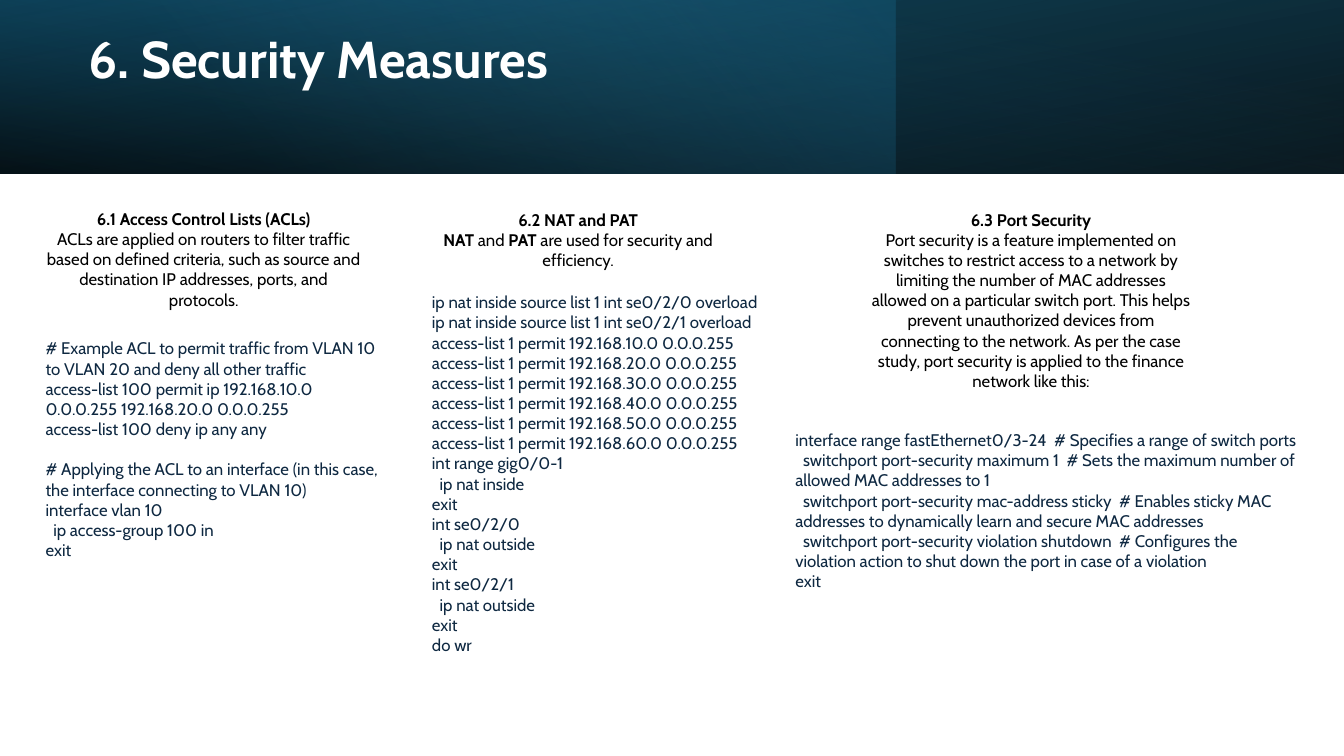
"""Build the Security Measures slide with its gradient header and three columns."""
from lxml import etree
from pptx import Presentation
from pptx import util as u
from pptx.dml.color import RGBColor
from pptx.enum import shapes, text
from pptx.oxml.ns import qn

COLORS = {"white": "FFFFFF", "black": "000000", "navy": "0E2841",
          "teal": "156082", "deep": "104862", "sky": "46B1E1"}
FONT = "Cabin"
LINE = 14.4
CODE_INDENT = 5.5
BAND_HEIGHT = 124

ACL_INTRO = [
    "**6.1 Access Control Lists (ACLs)**",
    "ACLs are applied on routers to filter traffic based on defined criteria, such as source "
    "and destination IP addresses, ports, and protocols.",
]
NAT_INTRO = [
    "**6.2 NAT and PAT**",
    "**NAT** and **PAT** are used for security and efficiency.",
]
PORT_INTRO = [
    "**6.3 Port Security**",
    "Port security is a feature implemented on switches to restrict access to a network by "
    "limiting the number of MAC addresses allowed on a particular switch port. This helps "
    "prevent unauthorized devices from connecting to the network. As per the case study, "
    "port security is applied to the finance network like this:",
]
ACL_RULES = [
    "# Example ACL to permit traffic from VLAN 10 to VLAN 20 and deny all other traffic",
    "access-list 100 permit ip 192.168.10.0 0.0.0.255 192.168.20.0 0.0.0.255",
    "access-list 100 deny ip any any",
]
ACL_APPLY = [
    "# Applying the ACL to an interface (in this case, the interface connecting to VLAN 10)",
    "interface vlan 10",
    "\tip access-group 100 in",
    "exit",
]
NAT_CODE = [
    *[f"ip nat inside source list 1 int se0/2/{port} overload" for port in range(2)],
    *[f"access-list 1 permit 192.168.{vlan}.0 0.0.0.255" for vlan in range(10, 70, 10)],
    "int range gig0/0-1", "\tip nat inside", "exit",
    *[line for port in range(2) for line in (f"int se0/2/{port}", "\tip nat outside", "exit")],
    "do wr",
]
PORT_CODE = [
    "interface range fastEthernet0/3-24  # Specifies a range of switch ports",
    "\tswitchport port-security maximum 1  # Sets the maximum number of allowed MAC "
    "addresses to 1",
    "\tswitchport port-security mac-address sticky  # Enables sticky MAC addresses to "
    "dynamically learn and secure MAC addresses",
    "\tswitchport port-security violation shutdown  # Configures the violation action to "
    "shut down the port in case of a violation",
    "exit",
]


def write(frame, lines, size=12, color="black", align=text.PP_ALIGN.LEFT, spacing=None,
          gap_before=None):
    """Fill a text frame; ** toggles bold and a leading tab indents a first line."""
    frame.word_wrap = True
    frame.auto_size = text.MSO_AUTO_SIZE.NONE
    frame.vertical_anchor = text.MSO_ANCHOR.TOP
    for index, line in enumerate(lines):
        para = frame.paragraphs[0] if index == 0 else frame.add_paragraph()
        para.alignment = align
        para.line_spacing = spacing
        if index == gap_before:
            para.space_before = u.Pt(LINE)
        if line.startswith("\t"):
            para._p.get_or_add_pPr().set("indent", str(u.Pt(CODE_INDENT)))
        for part, words in enumerate(line.strip().split("**")):
            if words:
                span = para.add_run()
                span.text = words
                span.font.name = FONT
                span.font.size = u.Pt(size)
                span.font.bold = part % 2 == 1
                span.font.color.rgb = RGBColor.from_string(COLORS[color])


def add_text(page, left, top, width, height, lines, **style):
    """Add a wrapped text box."""
    box = page.shapes.add_textbox(u.Pt(left), u.Pt(top), u.Pt(width), u.Pt(height))
    write(box.text_frame, lines, **style)


def add_band(page, width, stops, angle, flip=False, rotation=0):
    """Add a header band with a gradient of (position, colour, opacity) stops."""
    band = page.shapes.add_shape(shapes.MSO_SHAPE.RECTANGLE, 0, 0, u.Pt(width), u.Pt(BAND_HEIGHT))
    band.shadow.inherit = False
    band.line.fill.background()
    band.rotation = rotation
    props = band._element.spPr
    if flip:
        props.find(qn("a:xfrm")).set("flipH", "1")
    fill = etree.Element(qn("a:gradFill"), rotWithShape="1")
    stop_list = etree.SubElement(fill, qn("a:gsLst"))
    for position, color, opacity in stops:
        stop = etree.SubElement(stop_list, qn("a:gs"), pos=str(position * 1000))
        tint = etree.SubElement(stop, qn("a:srgbClr"), val=COLORS[color])
        etree.SubElement(tint, qn("a:alpha"), val=str(opacity * 1000))
    etree.SubElement(fill, qn("a:lin"), ang=str(angle * 60000), scaled="0")
    props.find(qn("a:prstGeom")).addnext(fill)


def place_title(page, words):
    """Move the title placeholder onto the header and format it."""
    title = page.shapes.title
    title.left, title.top, title.width, title.height = map(u.Pt, (56, 20.5, 556, 91))
    write(title.text_frame, [f"**{words}**"], size=37, color="white", spacing=0.9)
    page.shapes._spTree.append(title._element)


def main():
    """Build and save the deck."""
    deck = Presentation()
    deck.slide_width, deck.slide_height = u.Pt(960), u.Pt(540)
    page = deck.slides.add_slide(deck.slide_layouts[5])

    add_band(page, 960, [(0, "black", 96), (100, "deep", 100)], 100, flip=True, rotation=180)
    add_band(page, 640, [(0, "teal", 41), (74, "sky", 0)], 140)
    add_band(page, 960, [(0, "black", 63), (78, "teal", 15)], 260, flip=True)
    place_title(page, "6. Security Measures")

    center = text.PP_ALIGN.CENTER
    add_text(page, 24, 145.5, 243, 80, ACL_INTRO, align=center)
    add_text(page, 291.5, 146, 243, 65, NAT_INTRO, align=center)
    add_text(page, 615, 146, 243, 138, PORT_INTRO, align=center)
    add_text(page, 25.5, 238, 255, 167, ACL_RULES + ACL_APPLY, color="navy",
             gap_before=len(ACL_RULES))
    add_text(page, 301.5, 205, 255, 269, NAT_CODE, color="navy")
    add_text(page, 561, 303.5, 373, 124, PORT_CODE, color="navy")
    deck.save("out.pptx")


if __name__ == "__main__":
    main()
